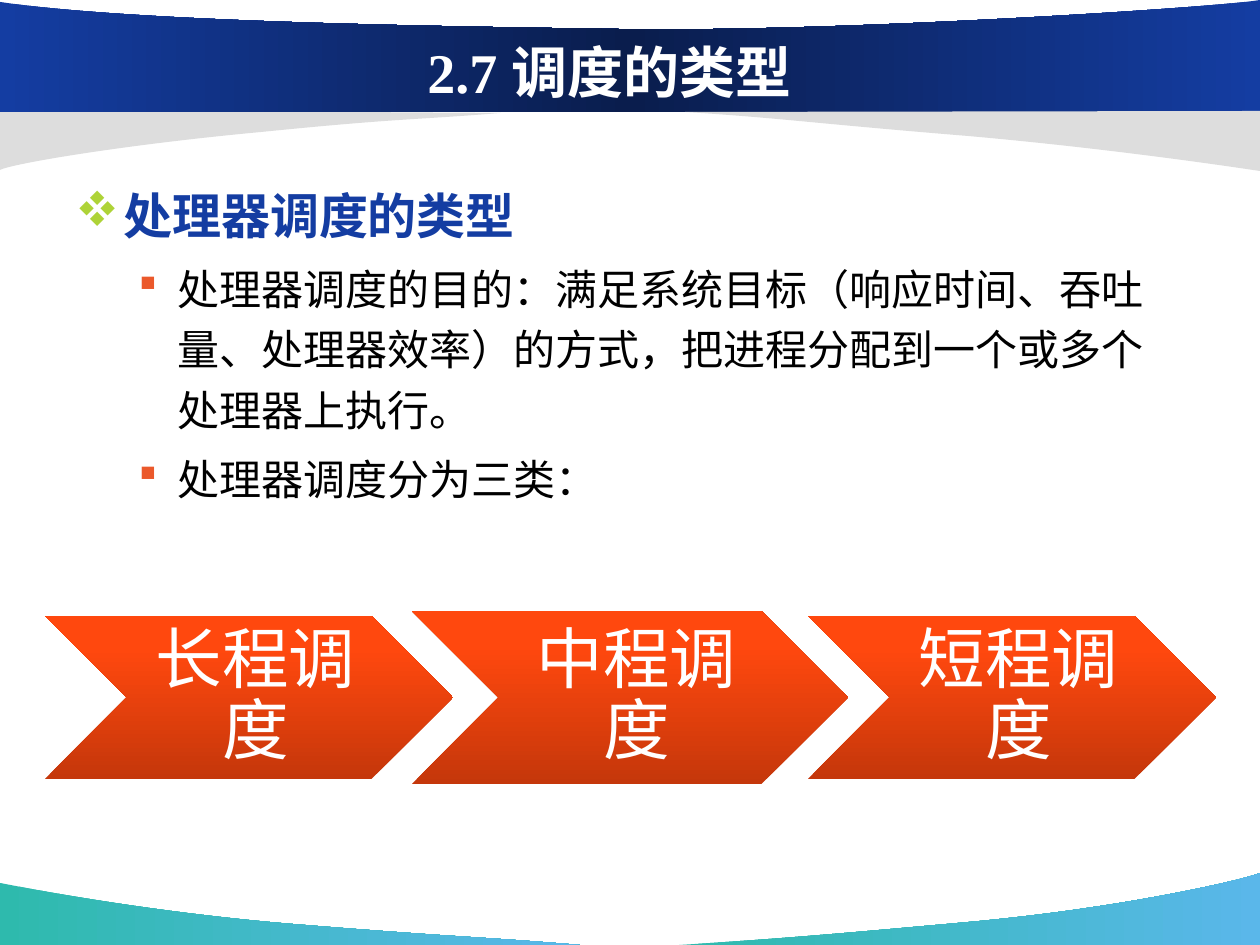
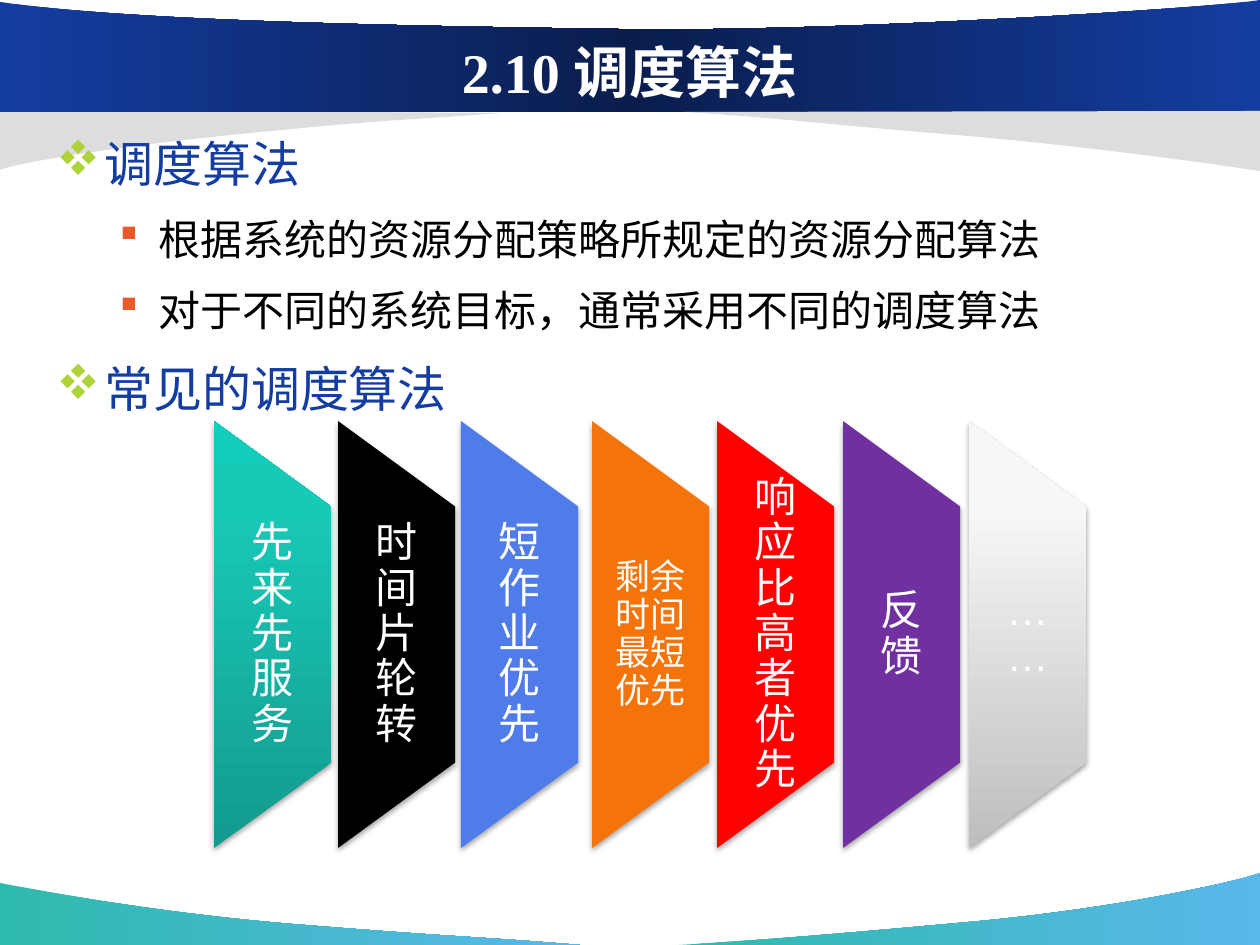
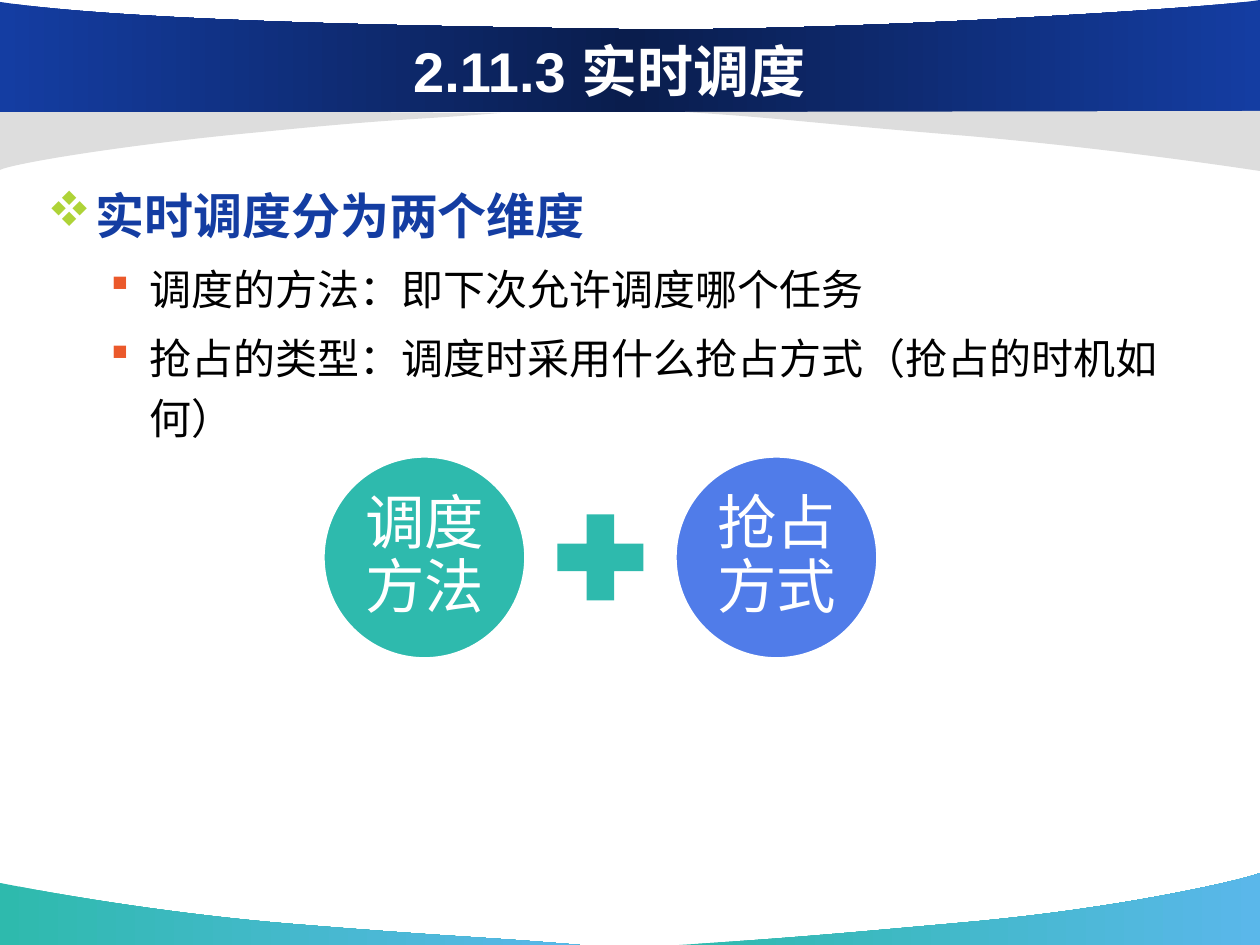
from pptx import Presentation
from pptx.dml.color import RGBColor
from pptx.enum.shapes import MSO_SHAPE
from pptx.enum.text import MSO_ANCHOR, PP_ALIGN
from pptx.oxml import parse_xml
from pptx.oxml.ns import nsdecls, qn
from pptx.util import Pt

PX = 914400 / 126
CHEVRON = MSO_SHAPE.CHEVRON
TRAPEZOID = MSO_SHAPE.FLOWCHART_MANUAL_OPERATION
OVAL = MSO_SHAPE.OVAL
PLUS = MSO_SHAPE.MATH_PLUS
MIDDLE = MSO_ANCHOR.MIDDLE
CENTER = PP_ALIGN.CENTER
JUSTIFY = PP_ALIGN.JUSTIFY

HUES = {
    "white": "FFFFFF", "black": "000000", "navy": "143DA2", "deep": "0A1D4D",
    "teal": "2EBAAD", "sky": "5AB7EA", "mist": "DDDDDD", "lime": "AED337",
    "rust": "EB592B", "blue": "507CE9", "orange": "F4740A", "red": "FF0000",
    "purple": "7030A0",
}
FOOT = [(0, HUES["teal"]), (100, HUES["sky"])]
HEAD = [(0, HUES["navy"]), (50, HUES["deep"]), (100, HUES["navy"])]
FLAME = [(0, "C5370B"), (80, "FF480E"), (100, "FF4910")]
SEA = [(0, "139A8E"), (80, "18C9B8"), (100, "15CDBC")]
SILVER = [(0, "BEBEBE"), (80, "F7F7F7"), (100, "F8F8F8")]


def paint(shape, fill, angle=270):
    """Fill with a hex colour or a list of gradient stops; drop line and shadow."""
    shape.shadow.inherit = False
    shape.line.fill.background()
    if isinstance(fill, str):
        shape.fill.solid()
        shape.fill.fore_color.rgb = RGBColor.from_string(fill)
        return
    stops = "".join(
        f'<a:gs pos="{pos * 1000}"><a:srgbClr val="{hue}"/></a:gs>' for pos, hue in fill)
    shape.fill.background()
    props = shape.element.spPr
    props.replace(props.find(qn("a:noFill")), parse_xml(
        f'<a:gradFill {nsdecls("a")} rotWithShape="0"><a:gsLst>{stops}</a:gsLst>'
        f'<a:lin ang="{angle * 60000}" scaled="0"/></a:gradFill>'))


def label(shape, text, size, pads):
    """Centre white text in a shape; pads are left, top, right, bottom in px."""
    frame = shape.text_frame
    frame.word_wrap = True
    frame.vertical_anchor = MIDDLE
    frame.margin_left, frame.margin_top, frame.margin_right, frame.margin_bottom = (
        round(pad * PX) for pad in pads)
    frame.text = text
    para = frame.paragraphs[0]
    para.alignment = CENTER
    para.line_spacing = 0.9
    font = para.runs[0].font
    font.name, font.size = "Arial", Pt(size)
    font.color.rgb = RGBColor.from_string(HUES["white"])


prs = Presentation()
prs.slide_width, prs.slide_height = round(1260 * PX), round(945 * PX)
layout = prs.slide_layouts[5]
for spot in list(layout.placeholders):
    if spot.placeholder_format.idx:
        layout.shapes.element.remove(spot.element)

# Titles and bullet text: title font and box, body box, heading weight, space after, lines
pages = [
    ("2.7 调度的类型", "Times New Roman", (116, 32, 987, 78), (63, 168, 1134, 116), True, 0, [
        (0, "处理器调度的类型"),
        (1, "处理器调度的目的：满足系统目标（响应时间、吞吐量、处理器效率）的方式，"
            "把进程分配到一个或多个处理器上执行。"),
        (1, "处理器调度分为三类："),
    ]),
    ("2.10 调度算法", "Times New Roman", (63, 7, 1134, 129), (44, 116, 1134, 624), False, 0.05, [
        (0, "调度算法"),
        (1, "根据系统的资源分配策略所规定的资源分配算法"),
        (1, "对于不同的系统目标，通常采用不同的调度算法"),
        (0, "常见的调度算法"),
    ]),
    ("2.11.3 实时调度", "Arial", (116, 31, 987, 78), (35, 168, 1191, 683), True, 0, [
        (0, "实时调度分为两个维度"),
        (1, "调度的方法：即下次允许调度哪个任务"),
        (1, "抢占的类型：调度时采用什么抢占方式（抢占的时机如何）"),
    ]),
]
# Per level: size, colour, Wingdings bullet, bullet colour, indent and hang in px
levels = [
    (28, HUES["navy"], "v", HUES["lime"], 48, 48),
    (24, HUES["black"], "§", HUES["rust"], 102, 39),
]
slides = []
for name, face, place, area, bold, after, lines in pages:
    slide = prs.slides.add_slide(layout)
    slides.append(slide)
    title = slide.shapes.title
    title.left, title.top, title.width, title.height = (round(n * PX) for n in place)
    title.text_frame.text = name
    title.text_frame.vertical_anchor = MIDDLE
    para = title.text_frame.paragraphs[0]
    para.alignment = CENTER
    font = para.runs[0].font
    font.name, font.size, font.bold = face, Pt(32), True
    font.color.rgb = RGBColor.from_string(HUES["white"])

    body = slide.shapes.add_textbox(*(round(n * PX) for n in area)).text_frame
    body.word_wrap = True
    for i, (level, text) in enumerate(lines):
        size, hue, mark, tint, indent, hang = levels[level]
        para = body.add_paragraph() if i else body.paragraphs[0]
        para.text = text
        para.level = level
        props = para._p.get_or_add_pPr()
        props.set("marL", str(round(indent * PX)))
        props.set("indent", str(round(-hang * PX)))
        for bullet in (f'buClr {nsdecls("a")}><a:srgbClr val="{tint}"/></a:buClr>',
                       f'buFont {nsdecls("a")} typeface="Wingdings" charset="2"/>',
                       f'buChar {nsdecls("a")} char="{mark}"/>'):
            props.append(parse_xml(f"<a:{bullet}"))
        para.line_spacing = 1.2
        para.space_before = Pt(size * 0.2 if i else 0)
        para.space_after = Pt(size * after)
        if i and level == 0:
            para.alignment = JUSTIFY
        font = para.runs[0].font
        font.name, font.size = "Arial", Pt(size)
        font.bold = bold and level == 0
        font.color.rgb = RGBColor.from_string(hue)

# Curved bands on the layout: a pair is a corner, six numbers are a Bezier curve
bands = [
    (FOOT, [(580, 945), (484, 937, 451, 937, 292, 924),
            (134, 911, 1, 883, 0, 883), (0, 945)]),
    (FOOT, [(679, 945), (774, 939, 814, 936, 969, 922),
            (1124, 908, 1247, 879, 1260, 873), (1260, 945)]),
    (HUES["mist"], [(501, 113), (417, 120, 401, 118, 262, 132),
                    (122, 145, 11, 164, 0, 170), (0, 110)]),
    (HEAD, [(0, 112), (1260, 112), (1260, 0), (1215, 8, 823, 33, 614, 29),
            (404, 26, 127, 21, 0, 2)]),
    (HUES["mist"], [(685, 112), (781, 118, 809, 123, 968, 136),
                    (1126, 150, 1259, 171, 1260, 171), (1260, 111)]),
]
for i, (fill, track) in enumerate(bands):
    dots = [(round(x * PX), round(y * PX))
            for part in track for x, y in zip(part[::2], part[1::2])]
    pen = slides[0].shapes.build_freeform(*dots[0])
    pen.add_line_segments(dots[1:], close=True)
    band = pen.convert_to_shape()
    paint(band, fill, 0)
    # Each curve takes three of the straight segments as its points
    edges = iter(list(band.element.iter(qn("a:lnTo"))))
    for part in track[1:]:
        edge = next(edges)
        if len(part) == 6:
            curve = parse_xml(f'<a:cubicBezTo {nsdecls("a")}/>')
            edge.addprevious(curve)
            for side in (edge, next(edges), next(edges)):
                curve.append(side[0])
                side.getparent().remove(side)
    band.element.nvSpPr.cNvPr.id = 20 + i
    layout.shapes.element.insert(2 + i, band.element)

# Three kinds of scheduling
for text, *place in [("长程调度", 45, 616, 408, 163), ("中程调度", 412, 611, 436, 173),
                     ("短程调度", 808, 616, 408, 163)]:
    arrow = slides[0].shapes.add_shape(CHEVRON, *(round(n * PX) for n in place))
    paint(arrow, FLAME)
    label(arrow, text, 38, (21, 8, 8, 8))

# Common algorithms
fans = [
    (214, "先来先服务", SEA, 24), (338, "时间片轮转", HUES["black"], 24),
    (461, "短作业优先", HUES["blue"], 24), (592, "剩余时间最短优先", HUES["orange"], 20),
    (717, "响应比高者优先", HUES["red"], 24), (843, "反馈", HUES["purple"], 24),
    (969, "……", SILVER, 24),
]
for x, text, fill, size in fans:
    fan = slides[1].shapes.add_shape(
        TRAPEZOID, *(round(n * PX) for n in (x - 155, 576, 427, 117)))
    fan.rotation = 270
    paint(fan, fill)
    fan.element.spPr.find(qn("a:effectLst")).append(parse_xml(
        f'<a:outerShdw {nsdecls("a")} blurRad="40000" dist="23000" dir="5400000" '
        'rotWithShape="0"><a:srgbClr val="000000"><a:alpha val="35000"/></a:srgbClr>'
        '</a:outerShdw>'))
    box = slides[1].shapes.add_textbox(*(round(n * PX) for n in (x, 507, 117, 256)))
    pad = 21 if size == 24 else 18
    label(box, text, size, (pad, 0, pad, 0))

# Two dimensions of real-time scheduling
for x, text, hue in [(323, "调度方法", "teal"), (675, "抢占方式", "blue")]:
    disc = slides[2].shapes.add_shape(OVAL, *(round(n * PX) for n in (x, 456, 203, 203)))
    paint(disc, HUES[hue])
    disc.line.color.rgb = RGBColor.from_string(HUES["white"])
    disc.line.width = Pt(2)
    label(disc, text, 34, (6, 6, 6, 6))
plus = slides[2].shapes.add_shape(PLUS, *(round(n * PX) for n in (542, 499, 117, 117)))
paint(plus, HUES["teal"])

prs.save("out.pptx")
